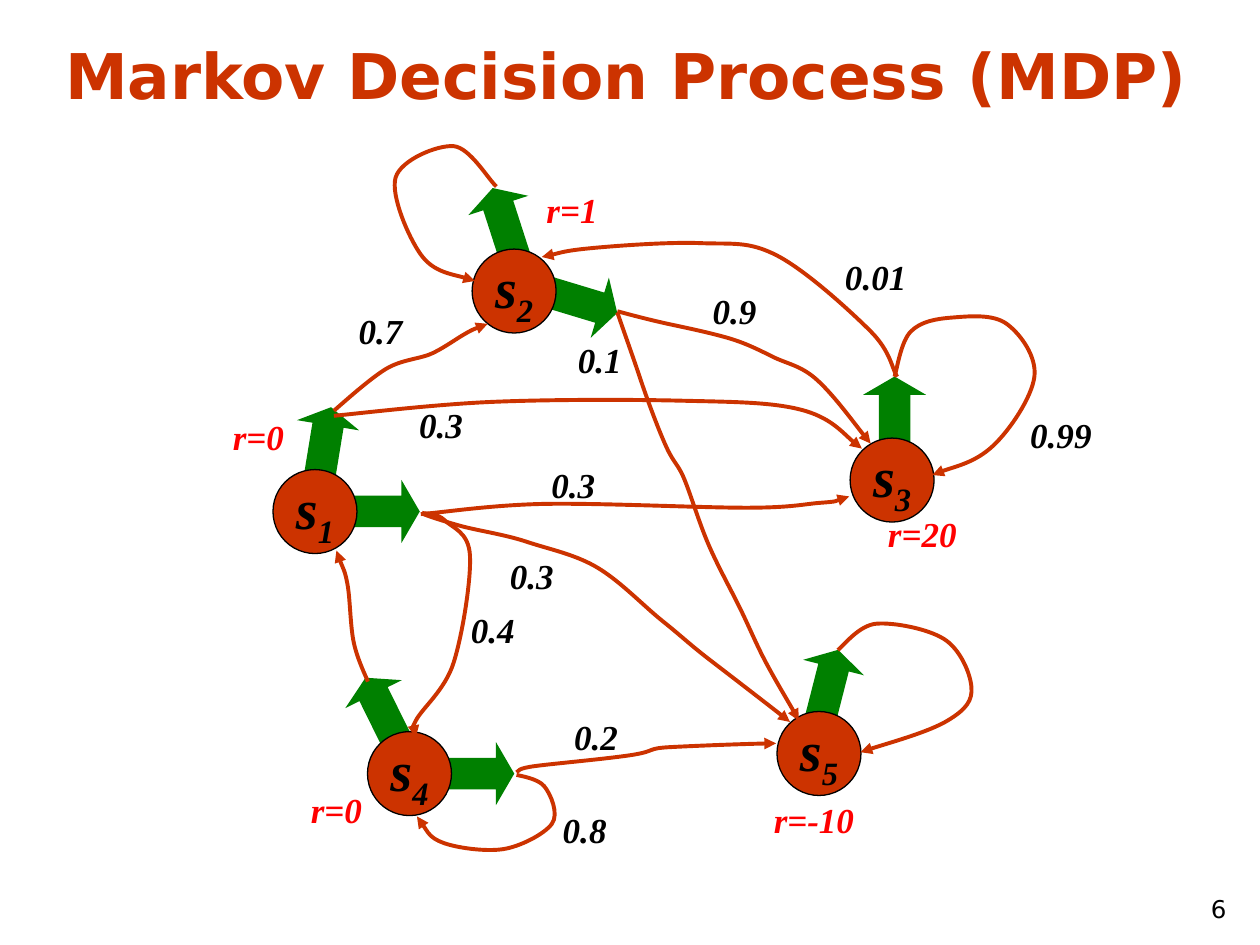
import pptx
import pptx.util
import pptx.dml.color
import pptx.enum.shapes
import pptx.enum.text
import pptx.oxml.ns
from lxml import etree

Pt = pptx.util.Pt
Shape = pptx.enum.shapes.MSO_SHAPE
Align = pptx.enum.text.PP_ALIGN
Anchor = pptx.enum.text.MSO_ANCHOR
qn = pptx.oxml.ns.qn

COLORS = {"rust": "CC3300", "action": "008000", "reward": "FF0000", "ink": "000000"}
SANS, SERIF = "DejaVu Sans", "Times New Roman"
UNIT = 0.72  # points per diagram unit; the slide is 1000 x 750 units
STATE_SIZE = 48
ACTION_SIZE = (42, 36)
LABEL_HEIGHT = 44
CHARACTER_WIDTH, LABEL_MARGIN = 13, 16

TITLE = "Markov Decision Process (MDP)"

# Each state: subscript, centre, and its actions as (centre x, centre y, rotation)
STATES = [
    ("2", (408, 231), [(462, 240, 16.8), (400, 177, 252.1)]),
    ("3", (708, 381), [(710, 328, 270)]),
    ("4", (325, 614), [(379, 614, 0), (303, 564, 243.7)]),
    ("5", (650, 598), [(658, 544, 284.3)]),
    ("1", (250, 406), [(304, 406, 0), (258, 352, 279.3)]),
]

# Each transition: its two states and the points its smooth curve passes through
TRANSITIONS = [
    ("5 to 5", [(665, 516), (696, 495), (749, 507), (771, 545), (752, 572), (683, 597)]),
    ("1 to 2", [(265, 326), (306, 293), (344, 280), (369, 265), (387, 257)]),
    ("4 to 5", [(410, 613), (425, 608), (503, 599), (532, 593), (616, 590)]),
    ("3 to 3", [(710, 299), (723, 263), (756, 252), (799, 257), (821, 299),
                (788, 354), (740, 377)]),
    ("3 to 2", [(712, 299), (691, 263), (617, 203), (556, 193), (469, 197), (430, 204)]),
    ("1 to 3", [(265, 330), (390, 319), (540, 318), (635, 325), (684, 356)]),
    ("1 to 3", [(334, 408), (430, 400), (592, 403), (652, 399), (674, 394)]),
    ("1 to 5", [(336, 408), (364, 417), (418, 430), (475, 451), (526, 493),
                (565, 525), (627, 573)]),
    ("1 to 4", [(335, 407), (353, 413), (373, 441), (360, 526), (330, 572), (330, 585)]),
    ("4 to 1", [(292, 541), (281, 511), (276, 465), (267, 437)]),
    ("4 to 4", [(410, 615), (432, 624), (438, 654), (399, 674), (352, 669), (331, 648)]),
    ("2 to 5", [(490, 248), (508, 300), (529, 355), (543, 380), (561, 429),
                (586, 480), (608, 526), (634, 572)]),
    ("2 to 3", [(490, 247), (530, 257), (577, 268), (613, 283), (649, 302), (691, 352)]),
    ("2 to 2", [(394, 148), (360, 116), (314, 141), (334, 202), (377, 223)]),
]

# Labels: text and centre of the box
PROBABILITIES = [
    ("0.7", 302, 263), ("0.3", 350, 337), ("0.9", 583, 247), ("0.1", 476, 286),
    ("0.3", 455, 385), ("0.3", 422, 457), ("0.4", 391, 500), ("0.99", 842, 345),
    ("0.01", 695, 220), ("0.2", 473, 585), ("0.8", 464, 659),
]
REWARDS = [
    ("r=-10", 646, 651), ("r=20", 732, 424), ("r=0", 267, 643),
    ("r=1", 454, 167), ("r=0", 205, 347),
]


def rgb(name):
    return pptx.dml.color.RGBColor.from_string(COLORS[name])


def units(value):
    return Pt(value * UNIT)


def write(shape, text, subscript="", size=20, font=SERIF, color="ink", bold=True,
          italic=True, align=Align.CENTER, anchor=Anchor.TOP, wrap=False):
    frame = shape.text_frame
    frame.auto_size = pptx.enum.text.MSO_AUTO_SIZE.NONE
    frame.word_wrap, frame.vertical_anchor = wrap, anchor
    paragraph = frame.paragraphs[0]
    paragraph.alignment = align
    for part in filter(None, (text, subscript)):
        run = paragraph.add_run()
        run.text = part
        run.font.size, run.font.name = Pt(size), font
        run.font.bold, run.font.italic = bold, italic
        run.font.color.rgb = rgb(color)
    if subscript:
        run.font._element.set("baseline", "-25000")


def add_centred(preset, x, y, width, height, fill):
    shape = slide.shapes.add_shape(preset, units(x) - Pt(width / 2),
                                   units(y) - Pt(height / 2), Pt(width), Pt(height))
    shape.shadow.inherit = False
    shape.fill.solid()
    shape.fill.fore_color.rgb = rgb(fill)
    shape.line.fill.background()
    return shape


def bezier_points(knots):
    """Two controls and an end for each span of a smooth curve through the knots."""
    padded = [knots[0], *knots, knots[-1]]
    points = []
    for before, start, end, after in zip(padded, padded[1:], padded[2:], padded[3:]):
        points.append(tuple(s + (e - b) / 6 for b, s, e in zip(before, start, end)))
        points.append(tuple(e - (a - s) / 6 for s, e, a in zip(start, end, after)))
        points.append(end)
    return points


def add_transition(knots):
    builder = slide.shapes.build_freeform(*knots[0], scale=units(1))
    builder.add_line_segments(bezier_points(knots), close=False)
    curve = builder.convert_to_shape()
    curve.shadow.inherit = False
    curve.fill.background()
    curve.line.color.rgb = rgb("rust")
    curve.line.width = Pt(2.25)
    # Join every three straight segments into one Bezier segment
    outline = next(curve.element.iter(qn("a:path")))
    segments = outline.findall(qn("a:lnTo"))
    for first in range(0, len(segments), 3):
        bezier = etree.SubElement(outline, qn("a:cubicBezTo"))
        for segment in segments[first:first + 3]:
            bezier.append(segment[0])
            outline.remove(segment)
    etree.SubElement(curve.line._get_or_add_ln(), qn("a:tailEnd"), type="triangle")


deck = pptx.Presentation()
deck.slide_width, deck.slide_height = Pt(720), Pt(540)
slide = deck.slides.add_slide(deck.slide_layouts[5])

# Title
title = slide.shapes.title
title.left, title.top, title.width, title.height = Pt(30), Pt(17), Pt(663), Pt(50.5)
write(title, TITLE, size=36, font=SANS, color="rust", italic=False,
      align=Align.LEFT, anchor=Anchor.BOTTOM, wrap=True)

# States on top of their action arrows
for number, centre, actions in STATES:
    for x, y, rotation in actions:
        action = add_centred(Shape.RIGHT_ARROW, x, y, *ACTION_SIZE, "action")
        action.adjustments[1] = 0.29
        action.rotation = rotation
    state = add_centred(Shape.OVAL, *centre, STATE_SIZE, STATE_SIZE, "rust")
    state.line.color.rgb = rgb("ink")
    state.line.width = Pt(0.75)
    write(state, "s", subscript=number, size=32, anchor=Anchor.MIDDLE)

# Transitions
for states, knots in TRANSITIONS:
    add_transition(knots)

# Probabilities and rewards
for labels, color in ((PROBABILITIES, "ink"), (REWARDS, "reward")):
    for text, x, y in labels:
        width = LABEL_MARGIN + CHARACTER_WIDTH * len(text)
        label = slide.shapes.add_textbox(units(x - width / 2), units(y - LABEL_HEIGHT / 2),
                                         units(width), units(LABEL_HEIGHT))
        write(label, text, color=color)

# Slide number
page = slide.shapes.add_textbox(Pt(660), Pt(495), Pt(48), Pt(36))
write(page, "6", size=14, font=SANS, bold=False, italic=False,
      align=Align.RIGHT, anchor=Anchor.BOTTOM, wrap=True)

deck.save("out.pptx")
